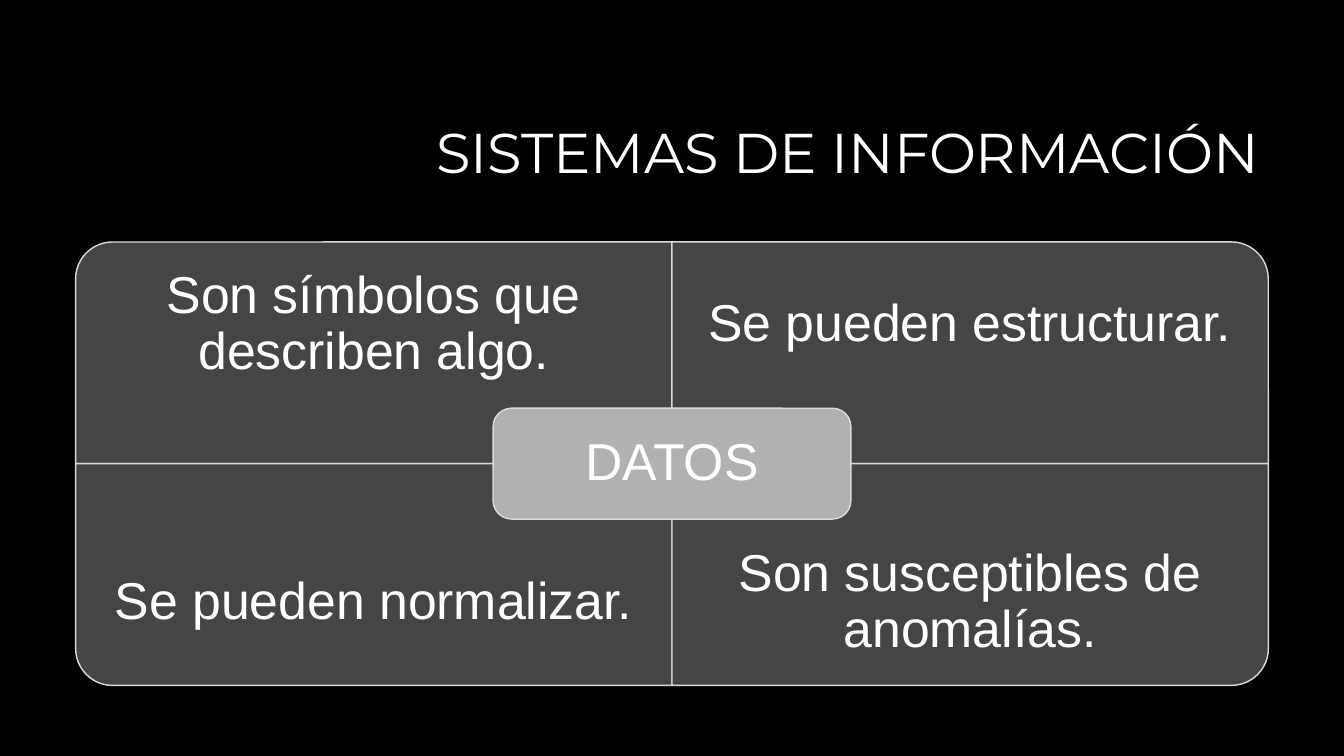
from pptx import Presentation
from pptx.dml.color import RGBColor
from pptx.enum import shapes, text
from pptx.util import Pt

HUES = {"back": "000000", "cell": "454545", "hub": "B1B1B1",
        "edge": "DADADA", "text": "FFFFFF"}


def write(frame, words, font, size, align, inset):
    frame.word_wrap = True
    frame.auto_size = text.MSO_AUTO_SIZE.NONE
    frame.vertical_anchor = text.MSO_ANCHOR.MIDDLE
    frame.margin_left = frame.margin_right = Pt(inset)
    frame.margin_top = frame.margin_bottom = Pt(inset)
    frame.text = words
    para = frame.paragraphs[0]
    para.alignment = align
    para.line_spacing = 0.9
    run = para.runs[0]
    run.font.name = font
    run.font.size = Pt(size)
    run.font.color.rgb = RGBColor.from_string(HUES["text"])


def panel(kind, mid_x, mid_y, wide, high, hue):
    shape = slide.shapes.add_shape(kind, Pt(mid_x - wide / 2), Pt(mid_y - high / 2),
                                   Pt(wide), Pt(high))
    shape.shadow.inherit = False
    shape.fill.solid()
    shape.fill.fore_color.rgb = RGBColor.from_string(HUES[hue])
    shape.line.color.rgb = RGBColor.from_string(HUES["edge"])
    shape.line.width = Pt(1)
    return shape


# Slide and background
deck = Presentation()
deck.slide_width, deck.slide_height = Pt(960), Pt(540)
slide = deck.slides.add_slide(deck.slide_layouts[5])
slide.background.fill.solid()
slide.background.fill.fore_color.rgb = RGBColor.from_string(HUES["back"])

# Title
title = slide.shapes.title
title.left, title.top, title.width, title.height = Pt(228), Pt(60.5), Pt(678.5), Pt(101.5)
write(title.text_frame, "SISTEMAS DE INFORMACIÓN", "Montserrat", 40,
      text.PP_ALIGN.RIGHT, 7.2)

# Four quadrants around the centre: column, row, turn, words
MID_X, MID_Y = 480, 331.2
WIDE, HIGH = 426, 158.4
LABEL = HIGH * 3 / 4
quads = [
    (0, 0, 270, "Son símbolos que describen algo."),
    (1, 0, 0, "Se pueden estructurar."),
    (0, 1, 180, "Se pueden normalizar."),
    (1, 1, 90, "Son susceptibles de anomalías."),
]
for col, row, turn, words in quads:
    left = MID_X + (col - 1) * WIDE
    top = MID_Y + (row - 1) * HIGH
    size = (HIGH, WIDE) if turn in (90, 270) else (WIDE, HIGH)
    quad = panel(shapes.MSO_SHAPE.ROUND_1_RECTANGLE, left + WIDE / 2, top + HIGH / 2,
                 *size, "cell")
    quad.rotation = turn
    label = slide.shapes.add_textbox(Pt(left), Pt(top + row * (HIGH - LABEL)),
                                     Pt(WIDE), Pt(LABEL))
    write(label.text_frame, words, "Arial", 37, text.PP_ALIGN.CENTER, 20.7)

# Central label
hub = panel(shapes.MSO_SHAPE.ROUNDED_RECTANGLE, MID_X, MID_Y, 255.6, HIGH / 2, "hub")
write(hub.text_frame, "DATOS", "Arial", 37, text.PP_ALIGN.CENTER, 10.8)

deck.save("out.pptx")
